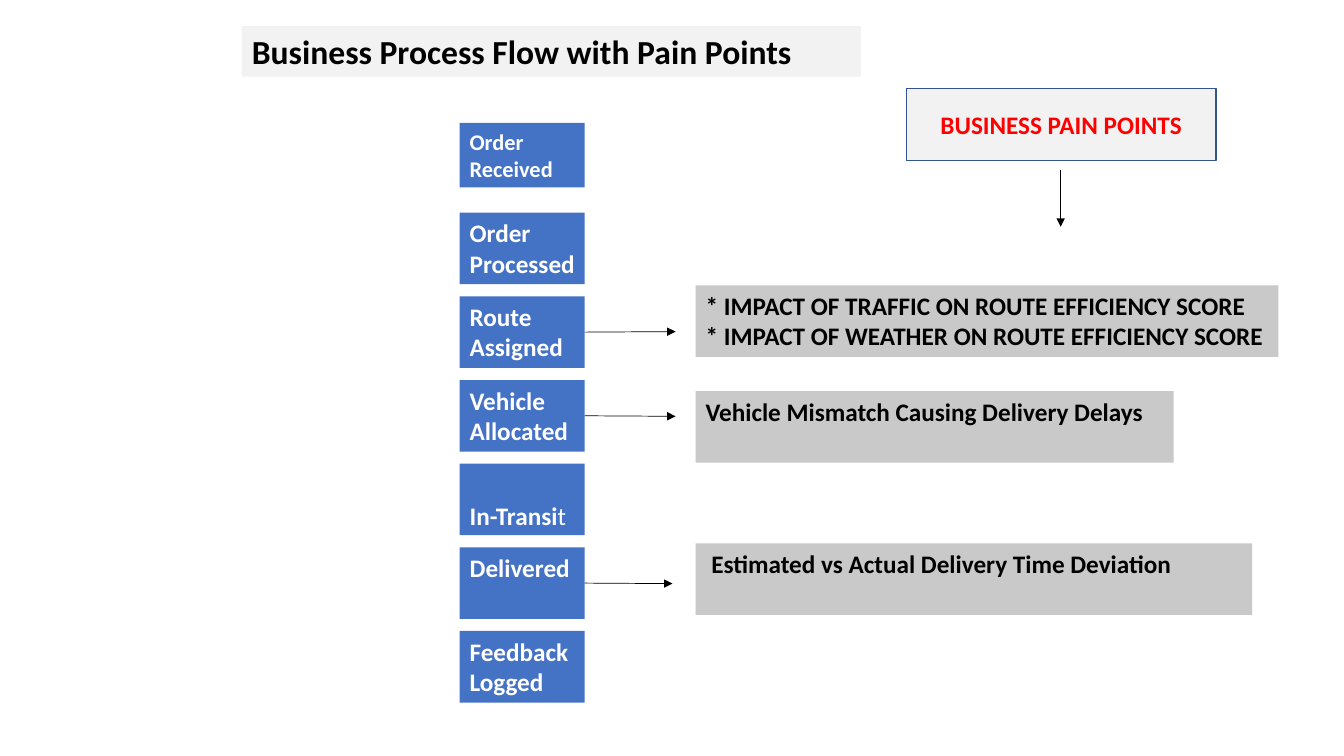
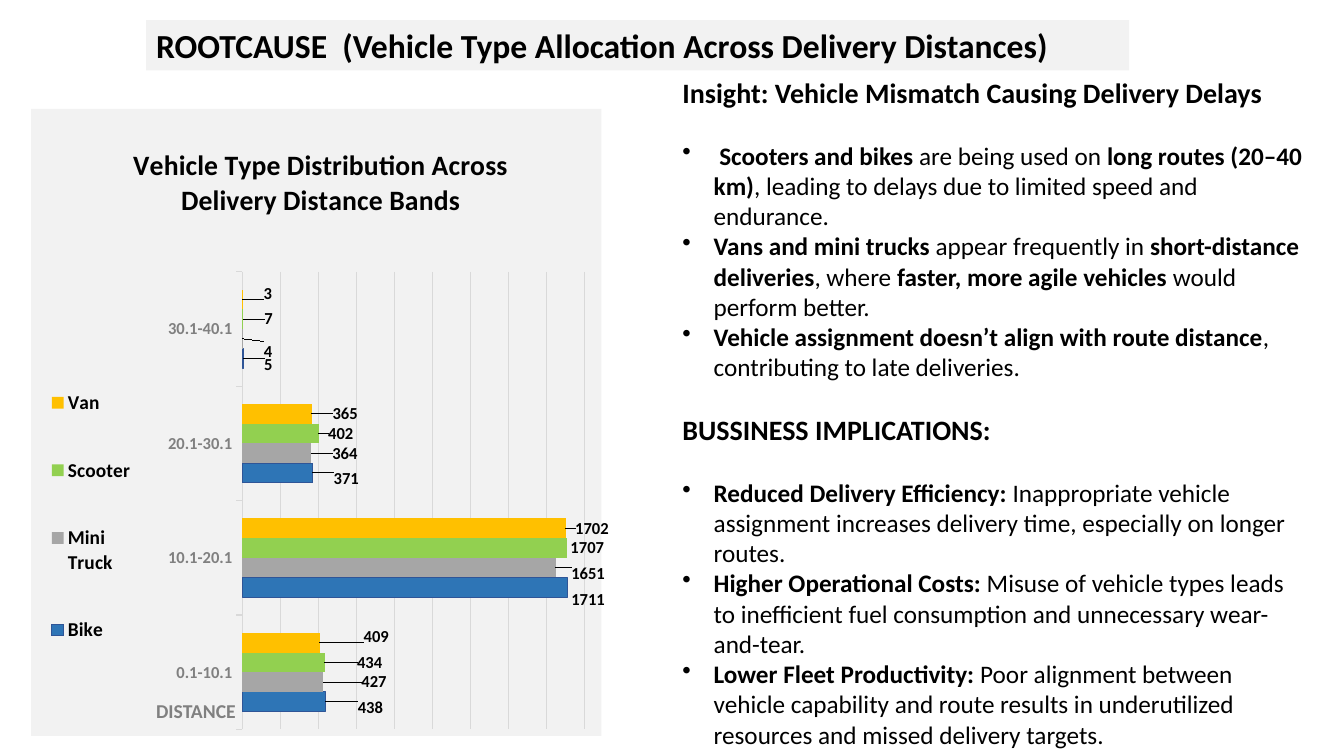
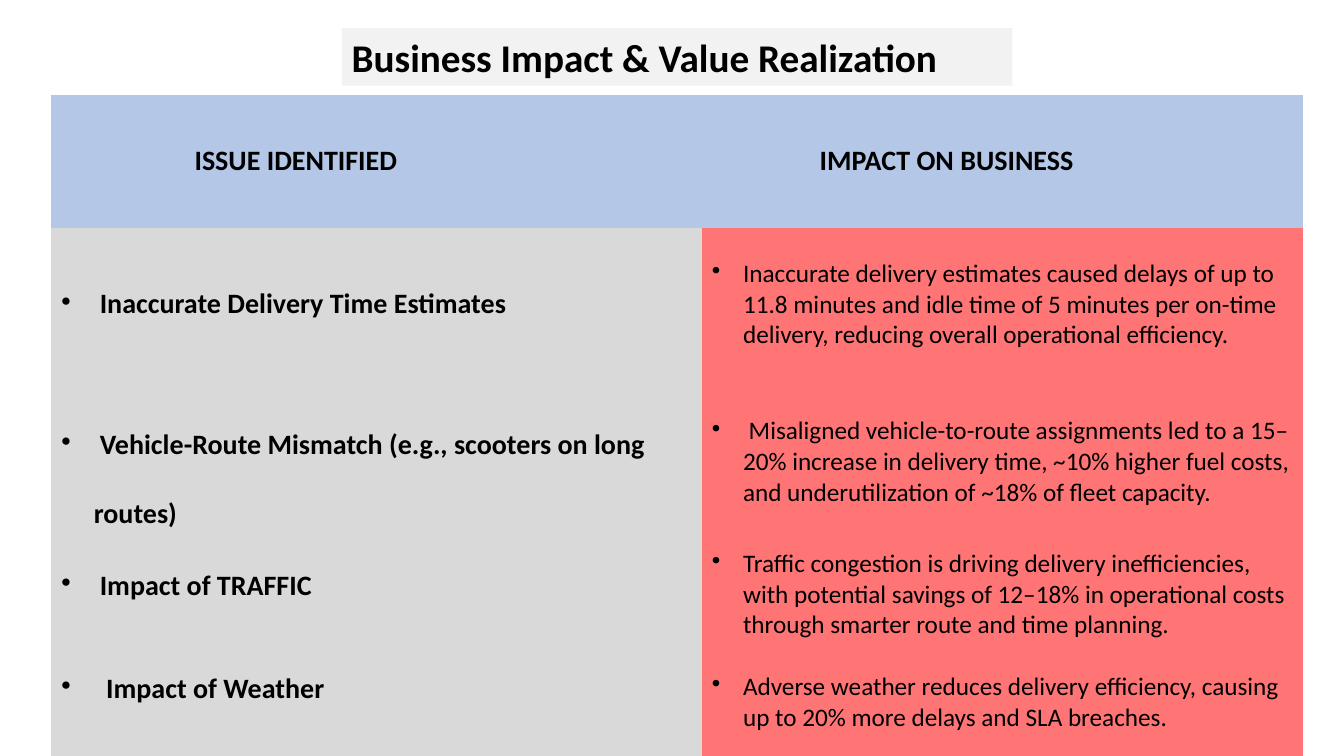
from lxml import etree
from pptx import Presentation
from pptx.chart.data import CategoryChartData
from pptx.dml.color import RGBColor
from pptx.enum.chart import XL_CHART_TYPE, XL_LABEL_POSITION, XL_LEGEND_POSITION, XL_TICK_MARK
from pptx.enum.shapes import MSO_CONNECTOR, MSO_SHAPE
from pptx.enum.text import MSO_ANCHOR, PP_ALIGN
from pptx.oxml import parse_xml
from pptx.oxml.ns import nsdecls, qn
from pptx.util import Inches, Pt

RECT = MSO_SHAPE.RECTANGLE
STRAIGHT = MSO_CONNECTOR.STRAIGHT
TOP, MIDDLE, BOTTOM = MSO_ANCHOR.TOP, MSO_ANCHOR.MIDDLE, MSO_ANCHOR.BOTTOM
CENTER = PP_ALIGN.CENTER
BAR = XL_CHART_TYPE.BAR_CLUSTERED
OUTSIDE_END = XL_LABEL_POSITION.OUTSIDE_END
LEGEND_RIGHT = XL_LEGEND_POSITION.RIGHT
TICK_OUT = XL_TICK_MARK.OUTSIDE
NO_STYLE = "{2D5ABB26-0587-4C30-8999-92F81FD0307C}"

FONT = "Calibri"
BLACK, WHITE, RED = "000000", "FFFFFF", "FF0000"
PALE, SILVER, BLUE = "F2F2F2", "C9C9C9", "4472C4"
GRID, GREY = "D9D9D9", "808080"
rgb = RGBColor.from_string


def write(tf, paras, color=BLACK):
    tf.word_wrap = True
    for i, (size, indent, before, runs) in enumerate(paras):
        p = tf.add_paragraph() if i else tf.paragraphs[0]
        if before:
            p.space_before = Pt(before)
        if indent:
            pPr = p._p.get_or_add_pPr()
            pPr.set("marL", str(Inches(indent)))
            pPr.set("indent", str(-Inches(indent)))
            etree.SubElement(pPr, qn("a:buChar")).set("char", "•")
        for text, bold in runs:
            r = p.add_run()
            r.text = text
            r.font.name = FONT
            r.font.size = Pt(size)
            r.font.bold = bold
            r.font.color.rgb = rgb(color)


def box(s, x, y, w, h, fill, paras, color=BLACK, anchor=TOP):
    sp = s.shapes.add_shape(RECT, Inches(x), Inches(y), Inches(w), Inches(h))
    sp.shadow.inherit = False
    sp.fill.solid()
    sp.fill.fore_color.rgb = rgb(fill)
    sp.line.fill.background()
    sp.text_frame.vertical_anchor = anchor
    write(sp.text_frame, paras, color)
    for p in sp.text_frame.paragraphs:
        p.alignment = PP_ALIGN.LEFT
    return sp


prs = Presentation()
prs.slide_width, prs.slide_height = Inches(13.33), Inches(7.5)

titles = [
    ("Business Process Flow with Pain Points", 24, 2.4, 0.26, 6.14, 0.5),
    ("ROOTCAUSE  (Vehicle Type Allocation Across Delivery Distances)", 24, 1.45, 0.2, 9.75, 0.5),
    ("Business Impact & Value Realization", 28, 3.39, 0.28, 6.65, 0.57),
]
slides = []
for text, size, x, y, w, h in titles:
    s = prs.slides.add_slide(prs.slide_layouts[6])
    box(s, x, y, w, h, PALE, [(size, 0, 0, [(text, True)])])
    slides.append(s)
flow, cause, impact = slides

box(flow, 4.56, 1.22, 1.24, 0.64, BLUE, [(16, 0, 0, [("Order Received", True)])], WHITE)
stages = [
    [("Order Processed", True)],
    [("Route Assigned", True)],
    [("Vehicle Allocated", True)],
    [("In-Transi", True), ("t", False)],
    [("Delivered", True)],
    [("Feedback Logged", True)],
]
stage_boxes = []
for i, runs in enumerate(stages):
    sp = box(flow, 4.56, 2.11 + 0.83 * i, 1.24, 0.71, BLUE, [(18, 0, 0, runs)], WHITE)
    stage_boxes.append(sp)
stage_boxes[3].text_frame.vertical_anchor = BOTTOM

pains = [
    (2.83, 5.78, ["* IMPACT OF TRAFFIC ON ROUTE EFFICIENCY SCORE",
                  "* IMPACT OF WEATHER ON ROUTE EFFICIENCY SCORE"]),
    (3.88, 4.74, ["Vehicle Mismatch Causing Delivery Delays"]),
    (5.39, 5.52, [" Estimated vs Actual Delivery Time Deviation"]),
]
for y, w, lines in pains:
    box(flow, 6.9, y, w, 0.71, SILVER, [(18, 0, 0, [(line, True)]) for line in lines])

heading = box(flow, 8.99, 0.88, 3.07, 0.71, PALE,
              [(18, 0, 0, [("BUSINESS PAIN POINTS", True)])], RED, MIDDLE)
heading.text_frame.paragraphs[0].alignment = CENTER
heading.line.color.rgb = rgb("325491")
heading.line.width = Pt(1)

arrows = [
    (stage_boxes[1], 5.8, 3.29, 6.7, 3.29),
    (stage_boxes[2], 5.8, 4.13, 6.7, 4.13),
    (stage_boxes[4], 5.8, 5.79, 6.67, 5.79),
    (None, 10.52, 1.69, 10.52, 2.25),
]
for start, x1, y1, x2, y2 in arrows:
    arrow = flow.shapes.add_connector(STRAIGHT, Inches(x1), Inches(y1), Inches(x2), Inches(y2))
    if start is not None:
        arrow.begin_connect(start, 3)
    arrow.line.color.rgb = rgb(BLACK)
    arrow.line.width = Pt(0.5)
    etree.SubElement(arrow.line._get_or_add_ln(), qn("a:tailEnd")).set("type", "triangle")
    etree.SubElement(arrow._element.spPr, qn("a:effectLst"))

data = CategoryChartData()
data.categories = ["0.1-10.1", "10.1-20.1", "20.1-30.1", "30.1-40.1"]
vehicles = [
    ("Bike", "2E75B6", [438, 1711, 371, 5],
     [(0.05, 0.01), (0, 0.02), (0.03, 0.01), (0.03, 0.01)]),
    ("Mini Truck", "A6A6A6", [427, 1651, 364, 4],
     [(0.06, 0), (0.02, 0.01), (0.03, 0), (0.03, 0.02)]),
    ("Scooter", "92D050", [434, 1707, 402, 7],
     [(0.05, 0), (0, 0), (0.01, 0), (0.03, 0)]),
    ("Van", "FFC000", [409, 1702, 365, 3],
     [(0.07, -0.01), (0.01, 0), (0.03, 0), (0.03, -0.01)]),
]
for name, color, values, offsets in vehicles:
    data.add_series(name, values)
chart = cause.shapes.add_chart(BAR, Inches(0.31), Inches(1.08), Inches(5.73), Inches(6.22), data).chart
chart.font.name = FONT
chart.font.size = Pt(10)
chart.font.color.rgb = rgb(BLACK)
chart._chartSpace.find(qn("c:chart")).addnext(parse_xml(
    f'<c:spPr {nsdecls("c", "a")}><a:solidFill><a:srgbClr val="{PALE}"/></a:solidFill>'
    '<a:ln><a:noFill/></a:ln></c:spPr>'))

chart.has_title = True
write(chart.chart_title.text_frame,
      [(20, 0, 0, [("Vehicle Type Distribution Across Delivery Distance Bands", True)])])
chart.has_legend = True
legend = chart.legend
legend.position = LEGEND_RIGHT
legend.include_in_layout = False
cats, vals = chart.category_axis, chart.value_axis
cats.major_tick_mark = TICK_OUT
cats.format.line.color.rgb = rgb(GRID)
cats.format.line.width = Pt(0.75)
vals.visible = False
vals.minimum_scale, vals.maximum_scale, vals.major_unit = 0, 1800, 200
vals.has_major_gridlines = True
vals.major_gridlines.format.line.color.rgb = rgb(GRID)
vals.major_gridlines.format.line.width = Pt(0.75)
fonts = [(legend.font, 14, BLACK), (cats.tick_labels.font, 12, GREY)]

plot = chart.plots[0]
plot.gap_width = 182
plot.overlap = 0
plot.vary_by_categories = False
layouts = []
for ser, (name, color, values, offsets) in zip(plot.series, vehicles):
    ser.format.fill.solid()
    ser.format.fill.fore_color.rgb = rgb(color)
    ser.data_labels.show_value = True
    ser.data_labels.position = OUTSIDE_END
    fonts.append((ser.data_labels.font, 12, BLACK))
    for i, (dx, dy) in enumerate(offsets):
        label = ser.points[i].data_label
        label.position = OUTSIDE_END
        fonts.append((label.font, 12, BLACK))
        layouts.append((ser._element.xpath(f"c:dLbls/c:dLbl[c:idx/@val='{i}']/c:idx")[0],
                        {"x": dx, "y": dy}))
bike = plot.series[0].format.line
bike.color.rgb = rgb("2F5597")
bike.width = Pt(0.75)
for font, size, color in fonts:
    font.name = FONT
    font.size = Pt(size)
    font.bold = True
    font.color.rgb = rgb(color)

root = chart._chartSpace
for old in root.xpath("c:chart/c:plotArea/c:layout | c:chart/c:title/c:layout | c:chart/c:legend/c:layout"):
    old.getparent().remove(old)
edges = {"xMode": "edge", "yMode": "edge"}
layouts += [
    (root.xpath("c:chart/c:title/c:tx")[0], {**edges, "x": 0.17, "y": 0.05}),
    (root.xpath("c:chart/c:legend/c:legendPos")[0],
     {**edges, "x": 0.02, "y": 0.38, "w": 0.17, "h": 0.54}),
]
plot_layout = {"layoutTarget": "inner", **edges, "x": 0.37, "y": 0.26, "w": 0.6, "h": 0.73}
for before, places in layouts + [(None, plot_layout)]:
    layout = parse_xml(f'<c:layout {nsdecls("c")}><c:manualLayout/></c:layout>')
    for key, value in places.items():
        etree.SubElement(layout[0], qn(f"c:{key}")).set("val", str(value))
    if before is None:
        root.xpath("c:chart/c:plotArea")[0].insert(0, layout)
    else:
        before.addnext(layout)

insights = [
    (20, 0, 0, [("Insight: Vehicle Mismatch Causing Delivery Delays", True)]),
    (18, 0.31, 22, [(" Scooters and bikes", True), (" are being used on ", False),
                    ("long routes (20–40 km)", True),
                    (", leading to delays due to limited speed and endurance.", False)]),
    (18, 0.31, 0, [("Vans and mini trucks", True), (" appear frequently in ", False),
                   ("short-distance deliveries", True), (", where ", False),
                   ("faster, more agile vehicles", True), (" would perform better.", False)]),
    (18, 0.31, 0, [("Vehicle assignment doesn’t align with route distance", True),
                   (", contributing to late deliveries.", False)]),
    (20, 0, 22, [("BUSSINESS IMPLICATIONS:", True)]),
    (18, 0.31, 22, [("Reduced Delivery Efficiency:", True),
                    (" Inappropriate vehicle assignment increases delivery time, "
                     "especially on longer routes.", False)]),
    (18, 0.31, 0, [("Higher Operational Costs:", True),
                   (" Misuse of vehicle types leads to inefficient fuel consumption "
                    "and unnecessary wear-and-tear.", False)]),
    (18, 0.31, 0, [("Lower Fleet Productivity:", True),
                   (" Poor alignment between vehicle capability and route results in "
                    "underutilized resources and missed delivery targets.", False)]),
]
axis_name = [(14, 0, 0, [("DISTANCE", True)])]
for x, y, w, h, paras, color in [(6.67, 0.7, 6.35, 7.4, insights, BLACK),
                                 (1.45, 6.88, 1.39, 0.34, axis_name, GREY)]:
    tb = cause.shapes.add_textbox(Inches(x), Inches(y), Inches(w), Inches(h))
    write(tb.text_frame, paras, color)

rows = [
    ([(20, 0, 0, [("ISSUE IDENTIFIED", True)])],
     [(20, 0, 0, [("IMPACT ON BUSINESS", True)])]),
    ([(20, 0.38, 0, [("Inaccurate Delivery Time Estimates", True)])],
     [(18, 0.31, 0, [("Inaccurate delivery estimates caused delays of up to 11.8 minutes and idle time "
                      "of 5 minutes per on-time delivery, reducing overall operational efficiency.", False)])]),
    ([(20, 0.38, 0, [("Vehicle-Route Mismatch (e.g., scooters on long", True)]),
      (20, 0, 0, [("routes)", True)])],
     [(18, 0.31, 0, [(" Misaligned vehicle-to-route assignments led to a 15–20% increase in delivery time, "
                      "~10% higher fuel costs, and underutilization of ~18% of fleet capacity.", False)])]),
    ([(20, 0.38, 0, [("Impact of TRAFFIC", True)]),
      (20, 0.38, 49, [(" Impact of Weather", True)])],
     [(18, 0.31, 0, [("Traffic congestion is driving delivery inefficiencies, with potential savings of "
                      "12–18% in operational costs through smarter route and time planning.", False)]),
      (18, 0.31, 22, [("Adverse weather reduces delivery efficiency, causing up to 20% more delays "
                       "and SLA breaches.", False)])]),
]
table = impact.shapes.add_table(4, 2, Inches(0.51), Inches(0.94), Inches(12.41), Inches(6.6)).table
table.first_row = table.horz_banding = False
table._tbl.tblPr.find(qn("a:tableStyleId")).text = NO_STYLE
for col, width in zip(table.columns, [6.45, 5.96]):
    col.width = Inches(width)
for i, (height, row) in enumerate(zip([1.32, 1.52, 1.61, 2.15], rows)):
    table.rows[i].height = Inches(height)
    for j, paras in enumerate(row):
        cell = table.cell(i, j)
        cell.vertical_anchor = MIDDLE
        cell.fill.solid()
        cell.fill.fore_color.rgb = rgb(["D9D9D9", "FF7575"][j] if i else "B4C7E7")
        write(cell.text_frame, paras)
for j, (indent, bottom) in enumerate([(1.42, 0.33), (1.17, 0.27)]):
    table.cell(0, j).margin_left = Inches(indent)
    table.cell(3, j).margin_bottom = Inches(bottom)
mismatch = table.cell(2, 0).text_frame.paragraphs
for p in mismatch:
    p.line_spacing = 2.0
mismatch[1]._p.get_or_add_pPr().set("marL", str(Inches(0.32)))

prs.save("out.pptx")
